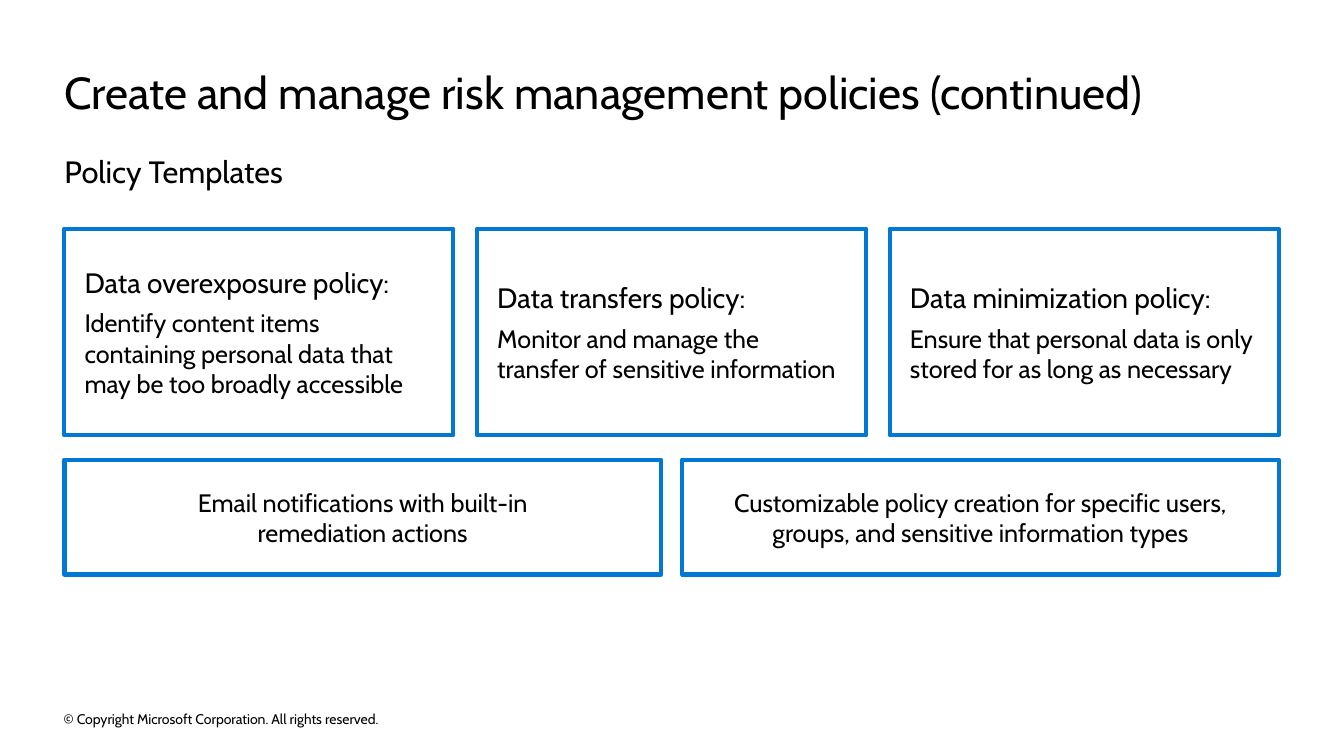
from pptx import Presentation
from pptx.dml.color import RGBColor
from pptx.enum.shapes import MSO_SHAPE
from pptx.enum.text import MSO_ANCHOR, PP_ALIGN
from pptx.util import Pt

BLACK = RGBColor(0x00, 0x00, 0x00)
BLUE = RGBColor(0x00, 0x78, 0xD4)
RECTANGLE = MSO_SHAPE.RECTANGLE
TOP, MIDDLE = MSO_ANCHOR.TOP, MSO_ANCHOR.MIDDLE
LEFT, CENTER = PP_ALIGN.LEFT, PP_ALIGN.CENTER

MARGIN = 46
CONTENT_WIDTH = 867.4

POLICIES = [
    ("Data overexposure policy:",
     "Identify content items containing personal data that may be too broadly accessible"),
    ("Data transfers policy:",
     "Monitor and manage the transfer of sensitive information"),
    ("Data minimization policy:",
     "Ensure that personal data is only stored for as long as necessary"),
]
FEATURES = [
    "Email notifications with built-in\nremediation actions",
    "Customizable policy creation for specific users, groups, and sensitive information types",
]


class SlideBuilder:
    font = "Cabin"
    color = BLACK
    outline = BLUE

    def __init__(self, page):
        self.page = page

    def fill_text(self, shape, paragraphs, anchor, align, insets):
        frame = shape.text_frame
        frame.word_wrap = True
        frame.vertical_anchor = anchor
        frame.margin_left = frame.margin_right = Pt(insets[0])
        frame.margin_top = frame.margin_bottom = Pt(insets[1])
        for index, (text, size) in enumerate(paragraphs):
            para = frame.add_paragraph() if index else frame.paragraphs[0]
            para.alignment = align
            para.space_before = Pt(6 if index else 0)
            for number, line in enumerate(text.split("\n")):
                if number:
                    para.add_line_break()
                span = para.add_run()
                span.text = line
                span.font.name = self.font
                span.font.size = Pt(size)
                span.font.color.rgb = self.color

    def label(self, left, top, width, height, text, size, anchor=TOP):
        box = self.page.shapes.add_textbox(Pt(left), Pt(top), Pt(width), Pt(height))
        self.fill_text(box, [(text, size)], anchor, LEFT, (0, 0))

    def card(self, left, top, width, height, paragraphs, align):
        box = self.page.shapes.add_shape(
            RECTANGLE, Pt(left), Pt(top), Pt(width), Pt(height))
        box.shadow.inherit = False
        box.fill.background()
        box.line.color.rgb = self.outline
        box.line.width = Pt(3)
        self.fill_text(box, paragraphs, MIDDLE, align, (14.4, 10.8))

    def card_row(self, top, height, gap, cards, align):
        width = (CONTENT_WIDTH - gap * (len(cards) - 1)) / len(cards)
        for index, paragraphs in enumerate(cards):
            left = MARGIN + index * (width + gap)
            self.card(left, top, width, height, paragraphs, align)


def main():
    deck = Presentation()
    deck.slide_width, deck.slide_height = Pt(960), Pt(540)
    builder = SlideBuilder(deck.slides.add_slide(deck.slide_layouts[6]))

    builder.label(MARGIN, 46, CONTENT_WIDTH, 39,
                  "Create and manage risk management policies (continued)", 32)
    builder.label(MARGIN, 109.4, CONTENT_WIDTH, 26.6, "Policy Templates", 22)

    policy_cards = [[(name, 20), (summary, 18)] for name, summary in POLICIES]
    feature_cards = [[(feature, 18)] for feature in FEATURES]
    builder.card_row(163.4, 147.6, 17, policy_cards, LEFT)
    builder.card_row(328.3, 82, 15, feature_cards, CENTER)

    builder.label(45.5, 505.5, 327, 16,
                  "© Copyright Microsoft Corporation. All rights reserved.", 10, MIDDLE)
    deck.save("out.pptx")


if __name__ == "__main__":
    main()
